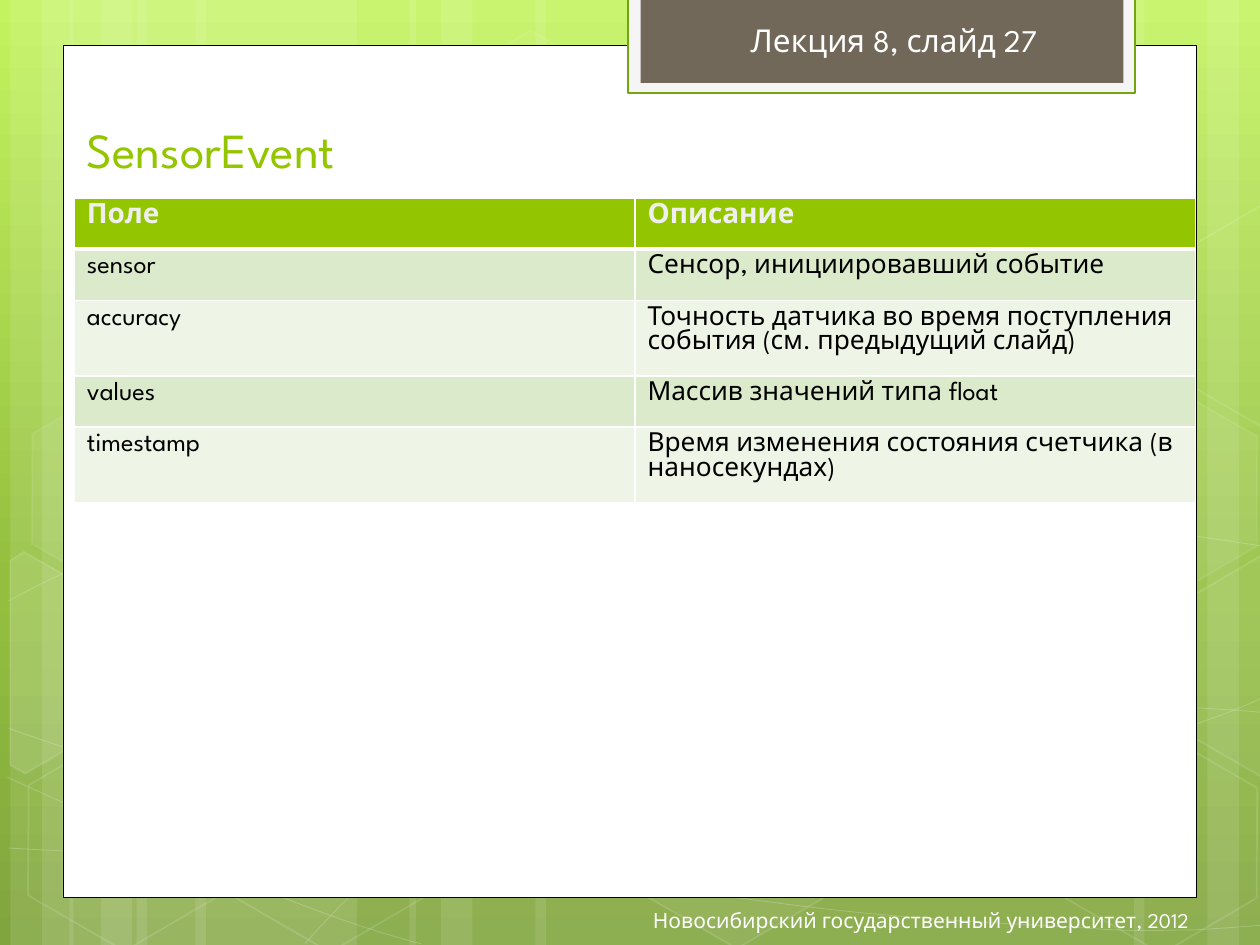
from copy import deepcopy

from lxml import etree
from pptx import Presentation
from pptx.dml.color import RGBColor
from pptx.enum.shapes import MSO_SHAPE
from pptx.enum.text import MSO_ANCHOR, MSO_AUTO_SIZE, PP_ALIGN
from pptx.oxml.ns import qn
from pptx.util import Pt

RECTANGLE, HEXAGON = MSO_SHAPE.RECTANGLE, MSO_SHAPE.HEXAGON
TOP, MIDDLE, BOTTOM = MSO_ANCHOR.TOP, MSO_ANCHOR.MIDDLE, MSO_ANCHOR.BOTTOM
LEFT, RIGHT = PP_ALIGN.LEFT, PP_ALIGN.RIGHT
NO_AUTOFIT = MSO_AUTO_SIZE.NONE
FONT = "League Spartan"
WHITE, PALE, GREEN, BLACK = "FFFFFF", "EFEFEF", "94C600", "000000"


def paint(fill, color, opacity=100):
    """Fill with a hex colour at a percentage, or leave empty at zero."""
    if not opacity:
        fill.background()
        return
    fill.solid()
    fill.fore_color.rgb = RGBColor.from_string(color)
    if opacity < 100:
        node = fill._xPr.find(qn("a:solidFill"))[0]
        etree.SubElement(node, qn("a:alpha"), val=str(opacity * 1000))


def write(frame, text, color, alignment=LEFT, **font_format):
    frame.text = text
    paragraph = frame.paragraphs[0]
    paragraph.alignment = alignment
    font = paragraph.runs[0].font
    paint(font.fill, color)
    for name, value in {"name": FONT, **font_format}.items():
        setattr(font, name, value)


presentation = Presentation()
presentation.slide_width, presentation.slide_height = Pt(720), Pt(540)
slide = presentation.slides.add_slide(presentation.slide_layouts[5])
shapes = slide.shapes

# Background gradient
background = slide.background.fill
background.gradient()
background.gradient_angle = 270
last_stop = list(slide.element.iter(qn("a:gs")))[-1]
last_stop.addprevious(deepcopy(last_stop))
gradient = [("C3F35F", 0), ("93BF3F", 0.62), ("81A53E", 1)]
for stop, (color, position) in zip(background.gradient_stops, gradient):
    stop.color.rgb = RGBColor.from_string(color)
    stop.position = position

# Translucent vertical stripes: left, width
stripes = [(78, 126), (6, 36), (24, 60), (111.6, 126), (39.6, 36), (57.6, 60),
           (528, 126), (690, 36), (648, 60), (306, 222), (234, 36), (252, 60)]
for left, width in stripes:
    stripe = shapes.add_shape(RECTANGLE, Pt(left), 0, Pt(width), Pt(540))
    stripe.shadow.inherit = False
    paint(stripe.fill, WHITE, 10)
    stripe.line.fill.background()

# Flowing lines: a start point, then two control points and an end per curve
waves = [
    [(5, 484.6), (43.9, 486.7), (82.8, 488.9), (136.8, 488.2),
     (190.8, 487.4), (257.8, 486), (329.8, 478.8),
     (401.8, 471.6), (504, 457.9), (570.2, 444.2),
     (635.8, 430.6), (703.4, 409), (725, 396.7)],
    [(5, 343.4), (25.9, 331.9), (46.8, 321.1), (87.1, 310.3),
     (128.2, 299.5), (186.5, 283.7), (249.8, 278.6),
     (313.9, 273.6), (391.7, 272.9), (470.9, 278.6),
     (550.1, 284.4), (681.8, 306.7), (725, 312.5)],
    [(4.3, 444.2), (91.4, 483.8), (177.8, 523.4), (240.5, 539.3)],
    [(5, 416.2), (27.4, 424.1), (50.4, 432), (92.2, 443.5),
     (133.9, 454.3), (196.6, 472.3), (257, 484.6),
     (316.8, 496.8), (392.4, 509.8), (452.2, 517),
     (511.9, 524.9), (576, 527.8), (614.2, 529.9),
     (651.6, 532.8), (661.7, 531.4), (680.4, 531.4),
     (699.1, 530.6), (712.1, 529.2), (725, 528.5)],
    [(174.2, 539.3), (187.2, 524.9), (200.2, 510.5), (217.4, 497.5),
     (234.7, 484.6), (259.2, 470.2), (279.4, 460.1),
     (299.5, 450), (311.8, 445.7), (338.4, 438.5),
     (364.3, 431.3), (412.6, 421.2), (437.8, 416.2),
     (463.7, 411.1), (467.3, 411.1), (489.6, 409.7),
     (511.9, 407.5), (547.2, 405.4), (571.7, 404.6),
     (596.9, 403.9), (637.9, 404.6), (637.9, 404.6),
     (654, 404.6), (670, 404.6), (686.2, 404.6),
     (699.1, 405.4), (711.4, 406.1), (717.8, 406.8),
     (724.3, 407.5), (722.2, 406.8), (724.3, 407.5)],
]
for wave in waves:
    points = [(Pt(x), Pt(y)) for x, y in wave]
    builder = shapes.build_freeform(*points[0])
    builder.add_line_segments(points[1:], close=False)
    line = builder.convert_to_shape()
    outline = next(line.element.iter(qn("a:path")))
    # Every three points become one cubic curve
    for index, segment in enumerate(outline.findall(qn("a:lnTo"))):
        if index % 3 == 0:
            curve = etree.SubElement(outline, qn("a:cubicBezTo"))
        curve.append(segment[0])
        outline.remove(segment)
    line.shadow.inherit = False
    line.fill.background()
    paint(line.line.fill, WHITE, 20)
    line.line.width = Pt(0.5)

# Hexagons: left, top, fill opacity, line opacity
hexagons = [(240.5, 25.9, 4, 8), (357.8, 424.1, 6, 12), (7.9, 425.5, 0, 12),
            (10.1, 224.6, 7, 8), (125.3, 426.2, 0, 12), (542.2, 326.2, 10, 12),
            (600.5, 427, 0, 12), (600.5, 226.1, 7, 8)]
outlined = []
for left, top, fill_opacity, line_opacity in hexagons:
    hexagon = shapes.add_shape(HEXAGON, Pt(left), Pt(top), Pt(126), Pt(109.4))
    hexagon.rotation = 30
    hexagon.adjustments[0] = 0.285
    outlined.append((hexagon, fill_opacity, line_opacity))

# Hexagons cut by the slide edges: fill opacity, corners
cut_hexagons = [
    (10, [(5.8, 320.4), (13.7, 315.4), (69.1, 347), (68.4, 410.4), (14.4, 442.1), (5.8, 437)]),
    (4, [(666.7, 349.2), (720.7, 317.5), (726.5, 321.1), (726.5, 441.4),
         (721.4, 444.2), (666.7, 412.6)]),
    (0, [(666.7, 149), (720.7, 117.4), (727.2, 121), (726.5, 241.2),
         (721.4, 244.1), (666.7, 212.4)]),
]
for fill_opacity, corners in cut_hexagons:
    corners = [(Pt(x), Pt(y)) for x, y in corners]
    builder = shapes.build_freeform(*corners[0])
    builder.add_line_segments(corners[1:])
    outlined.append((builder.convert_to_shape(), fill_opacity, 12))
for shape, fill_opacity, line_opacity in outlined:
    shape.shadow.inherit = False
    paint(shape.fill, WHITE, fill_opacity)
    paint(shape.line.fill, WHITE, line_opacity)
    shape.line.width = Pt(1)

# Content panel and the tab at the top: box, fill, line colour, line width
panels = [((36, 25.9, 648, 487), WHITE, BLACK, 0.5),
          ((359, -1.4, 289.6, 54.7), "F5F5F5", "74A510", 1.25),
          ((366, -1.4, 276, 48.8), "71685A", None, 0)]
for box, color, line_color, line_width in panels:
    panel = shapes.add_shape(RECTANGLE, *map(Pt, box))
    panel.shadow.inherit = False
    paint(panel.fill, color)
    paint(panel.line.fill, line_color, 100 if line_color else 0)
    if line_color:
        panel.line.width = Pt(line_width)

# Lecture number and footer
labels = [((421.9, 8.6, 186.5, 28.8), "Лекция 8, слайд 27", 18, LEFT, TOP, False),
          ((223.6, 511.2, 463, 28.8), "Новосибирский государственный университет, 2012",
           12, RIGHT, MIDDLE, True)]
for box, text, size, alignment, anchor, wrap in labels:
    frame = shapes.add_textbox(*map(Pt, box)).text_frame
    frame.word_wrap, frame.vertical_anchor = wrap, anchor
    write(frame, text, WHITE, alignment, size=Pt(size))

# Table of event fields
rows = [("Поле", "Описание"),
        ("sensor", "Сенсор, инициировавший событие"),
        ("accuracy", "Точность датчика во время поступления события (см. предыдущий слайд)"),
        ("values", "Массив значений типа float"),
        ("timestamp", "Время изменения состояния счетчика (в наносекундах)")]
row_heights = [29.2, 29.2, 43.3, 29.2, 43.3]
table = shapes.add_table(5, 2, Pt(42.5), Pt(113.2), Pt(640.8), Pt(sum(row_heights))).table
for row_index, (texts, height) in enumerate(zip(rows, row_heights)):
    table.rows[row_index].height = Pt(height)
    header = row_index == 0
    fill_color = GREEN if header else ("EEF5E7", "DCEACC")[row_index % 2]
    for column_index, text in enumerate(texts):
        cell = table.cell(row_index, column_index)
        write(cell.text_frame, text, PALE if header else BLACK,
              size=Pt(16 if header else 15), bold=header)
        properties = cell._tc.get_or_add_tcPr()
        for side in ("lnL", "lnR", "lnT", "lnB"):
            thick = (row_index, side) in ((0, "lnB"), (1, "lnT"))
            border = etree.SubElement(properties, qn("a:" + side), w=str(Pt(3 if thick else 1)))
            border_fill = etree.SubElement(border, qn("a:solidFill"))
            etree.SubElement(border_fill, qn("a:srgbClr"), val=WHITE)
        paint(cell.fill, fill_color)

# Title, brought in front of the panel
title = shapes.title
title.left, title.top, title.width, title.height = map(Pt, (42.5, 48.6, 459.4, 56.9))
title.text_frame.auto_size = NO_AUTOFIT
title.text_frame.vertical_anchor = BOTTOM
write(title.text_frame, "SensorEvent", GREEN, size=Pt(28))
title.element.getparent().append(title.element)

presentation.save("out.pptx")
